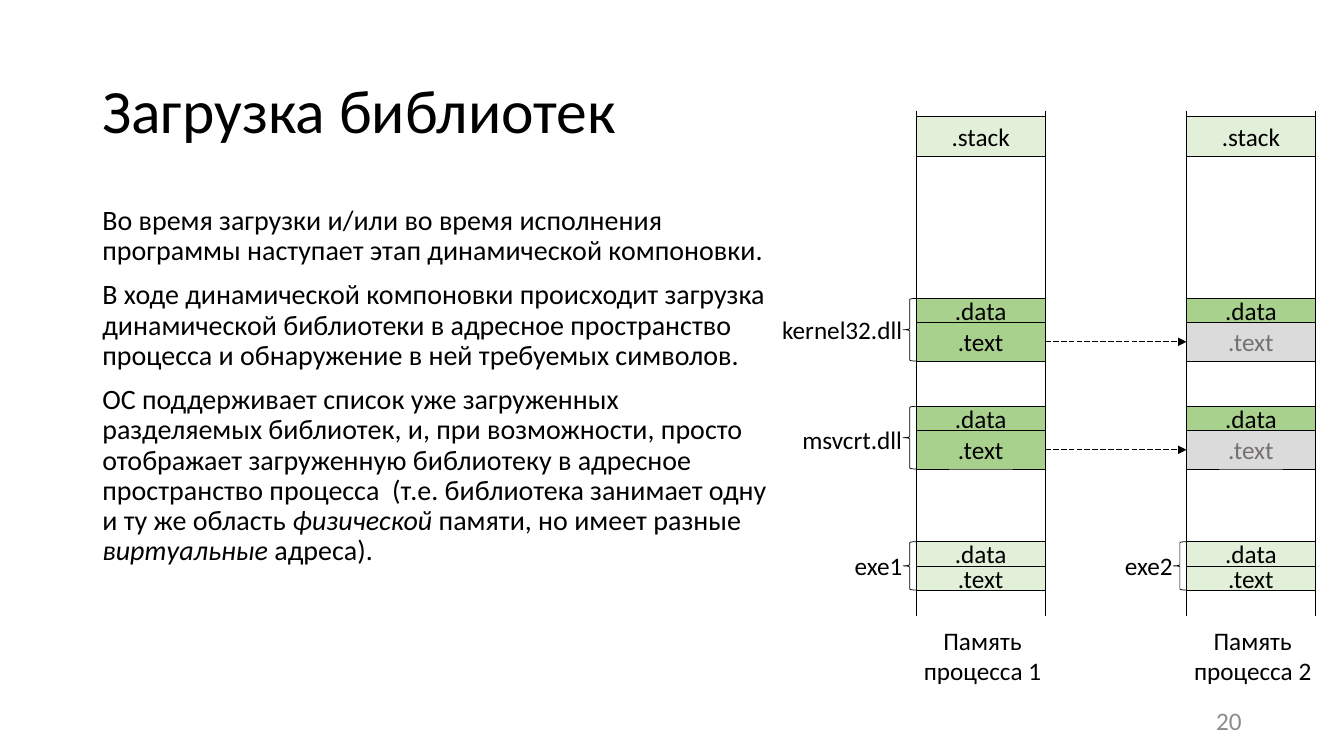
from dataclasses import dataclass

from lxml import etree
from pptx import Presentation
from pptx.dml.color import RGBColor
from pptx.enum.dml import MSO_LINE
from pptx.enum.shapes import MSO_CONNECTOR, MSO_SHAPE
from pptx.enum.text import MSO_ANCHOR, PP_ALIGN
from pptx.oxml.ns import qn
from pptx.util import Cm, Pt

LEFT, CENTER, RIGHT = PP_ALIGN.LEFT, PP_ALIGN.CENTER, PP_ALIGN.RIGHT
TOP, MIDDLE = MSO_ANCHOR.TOP, MSO_ANCHOR.MIDDLE
RECTANGLE, BRACE = MSO_SHAPE.RECTANGLE, MSO_SHAPE.LEFT_BRACE
STRAIGHT, LONG_DASH = MSO_CONNECTOR.STRAIGHT, MSO_LINE.LONG_DASH
LEFT_SIDE, RIGHT_SIDE = 1, 3


@dataclass(frozen=True)
class Theme:
    font: str = "Calibri"
    ink: str = "000000"
    muted: str = "767171"
    page_number: str = "8C8C8C"
    private: str = "E2F0D9"
    library: str = "A9D18E"
    shared: str = "DBDBDB"
    title_size: int = 44
    body_size: int = 20
    label_size: int = 18
    border: float = 0.25
    rule: float = 0.5


def write(frame, text, *, font, size, color, align=LEFT, anchor=TOP,
          wrap=True, line_spacing=None, space_before=None):
    """Each line is a paragraph; words between asterisks are italic."""
    frame.word_wrap = wrap
    frame.vertical_anchor = anchor
    for number, line in enumerate(text.split("\n")):
        paragraph = frame.add_paragraph() if number else frame.paragraphs[0]
        paragraph.alignment = align
        if line_spacing:
            paragraph.line_spacing = line_spacing
        if space_before:
            paragraph.space_before = Pt(space_before)
        for part, words in enumerate(line.split("*")):
            run = paragraph.add_run()
            run.text = words
            run.font.name = font
            run.font.size = Pt(size)
            run.font.italic = part % 2 == 1
            run.font.color.rgb = RGBColor.from_string(color)


class SlideBuilder:
    """Places styled elements on one slide; all lengths are centimetres."""

    def __init__(self, slide, theme):
        self.shapes = slide.shapes
        self.theme = theme

    def text(self, x, y, width, height, text, **style):
        box = self.shapes.add_textbox(Cm(x), Cm(y), Cm(width), Cm(height))
        defaults = dict(font=self.theme.font, size=self.theme.label_size,
                        color=self.theme.ink)
        write(box.text_frame, text, **(defaults | style))

    def outline(self, kind, x, y, width, height, weight):
        shape = self.shapes.add_shape(kind, Cm(x), Cm(y), Cm(width), Cm(height))
        shape.shadow.inherit = False
        shape.line.color.rgb = RGBColor.from_string(self.theme.ink)
        shape.line.width = Pt(weight)
        return shape

    def section(self, x, y, width, height, text, fill, color):
        block = self.outline(RECTANGLE, x, y, width, height, self.theme.border)
        block.fill.solid()
        block.fill.fore_color.rgb = RGBColor.from_string(fill)
        write(block.text_frame, text, font=self.theme.font,
              size=self.theme.label_size, color=color, align=CENTER, anchor=MIDDLE)
        return block

    def brace(self, x, y, width, height):
        self.outline(BRACE, x, y, width, height, self.theme.rule).fill.background()

    def line(self, x1, y1, x2, y2):
        rule = self.shapes.add_connector(STRAIGHT, Cm(x1), Cm(y1), Cm(x2), Cm(y2))
        rule.line.color.rgb = RGBColor.from_string(self.theme.ink)
        rule.line.width = Pt(self.theme.rule)
        etree.SubElement(rule._element.spPr, qn("a:effectLst"))
        return rule

    def arrow(self, source, target):
        link = self.line(0, 0, 1, 1)
        link.begin_connect(source, RIGHT_SIDE)
        link.end_connect(target, LEFT_SIDE)
        link.line.dash_style = LONG_DASH
        etree.SubElement(link.line._get_or_add_ln(), qn("a:tailEnd"), type="triangle")


BODY = "\n".join([
    "Во время загрузки и/или во время исполнения программы наступает этап "
    "динамической компоновки.",
    "В ходе динамической компоновки происходит загрузка динамической библиотеки "
    "в адресное пространство процесса и обнаружение в ней требуемых символов.",
    "ОС поддерживает список уже загруженных разделяемых библиотек, и, при "
    "возможности, просто отображает загруженную библиотеку в адресное "
    "пространство процесса  (т.е. библиотека занимает одну и ту же область "
    "*физической* памяти, но имеет разные *виртуальные* адреса).",
])

# Memory map geometry
PROCESS_X = (23.09, 29.9)
MEMORY_WIDTH = 3.25
MEMORY_TOP, MEMORY_BOTTOM = 2.79, 15.52
STACK_TOP, STACK_HEIGHT = 2.92, 1.02
DATA_HEIGHT = 0.61
LIBRARY_TEXT_HEIGHT, EXE_TEXT_HEIGHT = 0.97, 0.61
EXE_TOP = 13.65
BRACE_WIDTH = 0.33
# Library: top of its block, label offset from the memory, label top, label width
LIBRARIES = {
    "kernel32.dll": (7.52, 3.63, 7.8, 3.63),
    "msvcrt.dll": (10.24, 3.12, 10.57, 3.25),
}


def draw_module(builder, x, top, text_height, fill, text_fill, text_color):
    """Draws .data above .text and returns the .text section."""
    ink = builder.theme.ink
    builder.section(x, top, MEMORY_WIDTH, DATA_HEIGHT, ".data", fill, ink)
    return builder.section(x, top + DATA_HEIGHT, MEMORY_WIDTH, text_height,
                           ".text", text_fill, text_color)


def draw_process(builder, number, x):
    """Draws one address space and returns the .text sections of its libraries."""
    theme = builder.theme
    for edge in (x, x + MEMORY_WIDTH):
        builder.line(edge, MEMORY_TOP, edge, MEMORY_BOTTOM)
    builder.section(x, STACK_TOP, MEMORY_WIDTH, STACK_HEIGHT, ".stack",
                    theme.private, theme.ink)

    # Libraries: the first process owns the code, the second shares it
    owner = number == 1
    text_fill, text_color = ((theme.library, theme.ink) if owner
                             else (theme.shared, theme.muted))
    library_code = []
    for name, (top, offset, label_top, label_width) in LIBRARIES.items():
        library_code.append(draw_module(builder, x, top, LIBRARY_TEXT_HEIGHT,
                                        theme.library, text_fill, text_color))
        if owner:
            builder.brace(x - BRACE_WIDTH, top, BRACE_WIDTH,
                          DATA_HEIGHT + LIBRARY_TEXT_HEIGHT)
            builder.text(x - offset, label_top, label_width, 1.02, name)

    # Executable
    draw_module(builder, x, EXE_TOP, EXE_TEXT_HEIGHT,
                theme.private, theme.private, theme.ink)
    builder.brace(x - BRACE_WIDTH, EXE_TOP, BRACE_WIDTH, DATA_HEIGHT + EXE_TEXT_HEIGHT)
    builder.text(x - 1.8, 13.74, 1.73, 1.02, f"exe{number}", wrap=False)

    builder.text(x - 0.12, 15.62, 3.58, 1.8, f"Память процесса {number}", align=CENTER)
    return library_code


def main():
    deck = Presentation()
    deck.slide_width, deck.slide_height = Cm(33.87), Cm(19.05)
    theme = Theme()
    builder = SlideBuilder(deck.slides.add_slide(deck.slide_layouts[6]), theme)

    # Title, explanation and page number
    builder.text(2.33, 1.01, 29.21, 3.68, "Загрузка библиотек",
                 size=theme.title_size, anchor=MIDDLE, line_spacing=0.9)
    builder.text(2.33, 5.07, 17.27, 12.09, BODY, size=theme.body_size,
                 line_spacing=0.9, space_before=10)
    builder.text(23.92, 17.66, 7.62, 1.01, "20", color=theme.page_number,
                 align=RIGHT, anchor=MIDDLE)

    # Address spaces and the library code they share
    owned, mapped = (draw_process(builder, number, x)
                     for number, x in enumerate(PROCESS_X, start=1))
    for source, target in zip(owned, mapped):
        builder.arrow(source, target)

    deck.save("out.pptx")


if __name__ == "__main__":
    main()
